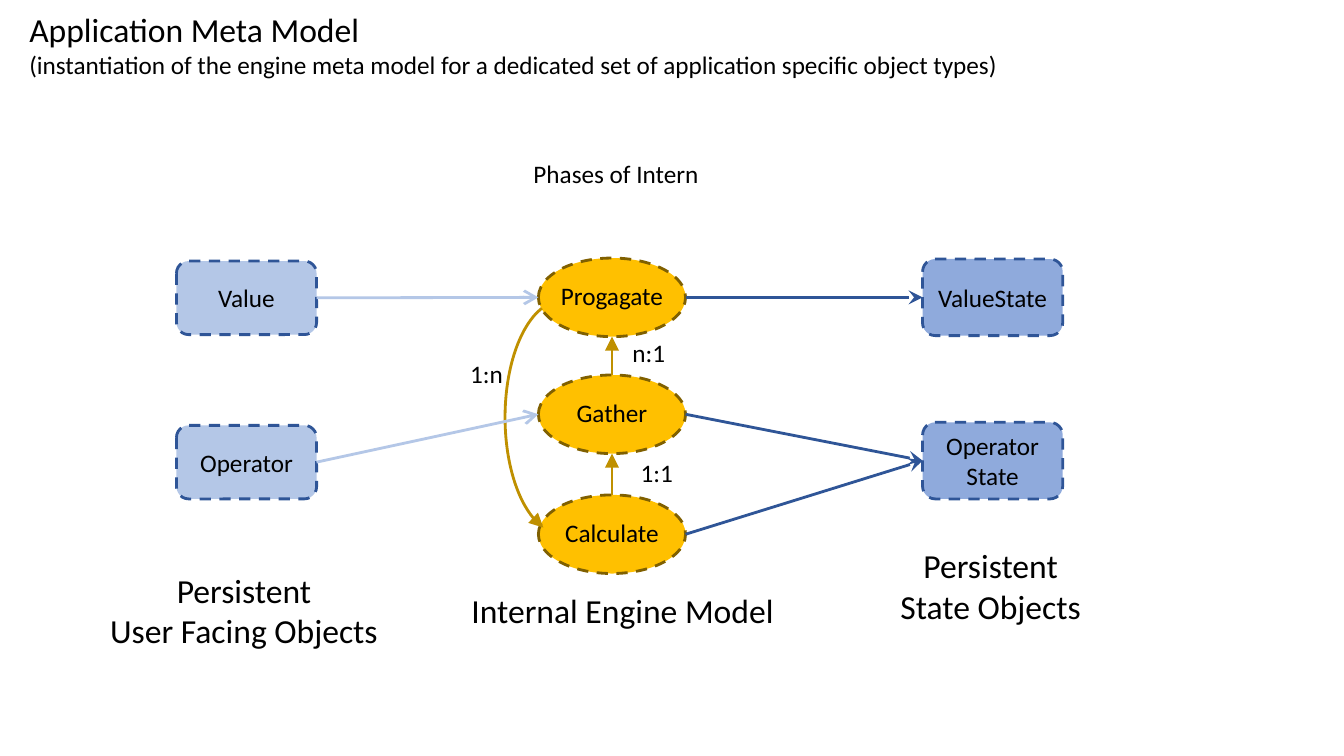
from dataclasses import dataclass

from lxml import etree
from pptx import Presentation
from pptx.dml.color import RGBColor
from pptx.enum.dml import MSO_LINE
from pptx.enum.shapes import MSO_CONNECTOR, MSO_SHAPE
from pptx.enum.text import MSO_ANCHOR, MSO_AUTO_SIZE, PP_ALIGN
from pptx.oxml.ns import qn
from pptx.util import Inches, Pt

ROUNDED, ELLIPSE, ARC = MSO_SHAPE.ROUNDED_RECTANGLE, MSO_SHAPE.OVAL, MSO_SHAPE.ARC
STRAIGHT, DASH = MSO_CONNECTOR.STRAIGHT, MSO_LINE.DASH
LEFT, CENTER = PP_ALIGN.LEFT, PP_ALIGN.CENTER
TOP, MIDDLE = MSO_ANCHOR.TOP, MSO_ANCHOR.MIDDLE
NO_AUTOFIT = MSO_AUTO_SIZE.NONE
SITES = {"left": 1, "right": 3}


@dataclass(frozen=True)
class Theme:
    font: str = "Calibri"
    text: str = "000000"
    user_fill: str = "B4C7E7"
    state_fill: str = "8FAADC"
    box_line: str = "2F5597"
    phase_fill: str = "FFC000"
    phase_line: str = "806000"
    flow: str = "BF9000"
    heading: int = 24
    body: int = 18
    line: int = 2


@dataclass(frozen=True)
class Node:
    name: str
    lines: tuple
    box: tuple
    preset: int
    fill: str
    line: str
    margin_bottom: float = 0.05


@dataclass(frozen=True)
class Label:
    lines: tuple
    box: tuple
    size: int


@dataclass(frozen=True)
class Link:
    start: str
    start_side: str
    end: str
    end_side: str
    color: str
    head: str


T = Theme()


def user(name: str, top: float) -> Node:
    return Node(name, (name,), (1.75, top, 1.39, 0.73), ROUNDED, T.user_fill, T.box_line)


def state(name: str, lines: tuple, top: float) -> Node:
    return Node(name, lines, (9.15, top, 1.39, 0.76), ROUNDED, T.state_fill, T.box_line)


def phase(name: str, top: float) -> Node:
    box = (5.34, top, 1.46, 0.78)
    return Node(name, (name,), box, ELLIPSE, T.phase_fill, T.phase_line, 0.09)


NODES = [
    user("Value", 2.59),
    user("Operator", 4.22),
    phase("Progagate", 2.56),
    phase("Gather", 3.72),
    phase("Calculate", 4.91),
    state("ValueState", ("ValueState",), 2.57),
    state("OperatorState", ("Operator", "State"), 4.19),
]
LINKS = [
    Link("Value", "right", "Progagate", "left", T.user_fill, "arrow"),
    Link("Operator", "right", "Gather", "left", T.user_fill, "arrow"),
    Link("Progagate", "right", "ValueState", "left", T.box_line, "stealth"),
    Link("Gather", "right", "OperatorState", "left", T.box_line, "stealth"),
    Link("Calculate", "right", "OperatorState", "left", T.box_line, "stealth"),
    Link("Calculate", "top", "Gather", "bottom", T.flow, "triangle"),
    Link("Gather", "top", "Progagate", "bottom", T.flow, "triangle"),
]
LABELS = [
    Label(("Phases of Intern",), (5.18, 1.52, 1.86, 0.4), T.body),
    Label(("Persistent", "User Facing Objects"), (0.98, 5.6, 2.88, 0.91), T.heading),
    Label(("Internal Engine Model",), (4.56, 5.8, 3.23, 0.5), T.heading),
    Label(("Persistent", "State Objects"), (8.82, 5.36, 2.01, 0.91), T.heading),
    Label(("n:1",), (6.17, 3.3, 0.53, 0.4), T.body),
    Label(("1:1",), (6.25, 4.49, 0.53, 0.4), T.body),
    Label(("1:n",), (4.56, 3.51, 0.53, 0.4), T.body),
]


def write(tf, lines: tuple, sizes: tuple, align, frame: dict) -> None:
    for key, value in frame.items():
        setattr(tf, key, value)
    for i, (line, size) in enumerate(zip(lines, sizes)):
        p = tf.add_paragraph() if i else tf.paragraphs[0]
        p.alignment = align
        r = p.add_run()
        r.text = line
        for key, value in {"name": T.font, "size": Pt(size)}.items():
            setattr(r.font, key, value)
        r.font.color.rgb = RGBColor.from_string(T.text)


def style_line(line, color: str, head: str = "") -> None:
    line.color.rgb = RGBColor.from_string(color)
    line.width = Pt(T.line)
    if head:
        ln = line._get_or_add_ln()
        etree.SubElement(ln, qn("a:tailEnd"), type=head, w="lg", len="lg")


def add_title(slide) -> None:
    sp = slide.shapes.title
    place = {"left": 0.19, "top": 0.04, "width": 9.93, "height": 1.11}
    for key, value in place.items():
        setattr(sp, key, Inches(value))
    lines = (
        "Application Meta Model",
        "(instantiation of the engine meta model for a dedicated set of"
        " application specific object types)",
    )
    frame = {"auto_size": NO_AUTOFIT, "word_wrap": False, "vertical_anchor": TOP}
    write(sp.text_frame, lines, (T.heading, T.body), LEFT, frame)


def add_node(slide, node: Node):
    sp = slide.shapes.add_shape(node.preset, *map(Inches, node.box))
    sp.shadow.inherit = False
    sp.fill.solid()
    sp.fill.fore_color.rgb = RGBColor.from_string(node.fill)
    style_line(sp.line, node.line)
    sp.line.dash_style = DASH
    frame = {
        "word_wrap": False,
        "vertical_anchor": MIDDLE,
        "margin_bottom": Inches(node.margin_bottom),
    }
    write(sp.text_frame, node.lines, (T.body,) * len(node.lines), CENTER, frame)
    return sp


def add_label(slide, label: Label) -> None:
    sp = slide.shapes.add_textbox(*map(Inches, label.box))
    frame = {"word_wrap": False, "vertical_anchor": TOP}
    write(sp.text_frame, label.lines, (label.size,) * len(label.lines), CENTER, frame)


def side_point(sp, side: str) -> tuple:
    mid_x, mid_y = sp.left + sp.width // 2, sp.top + sp.height // 2
    return {
        "top": (mid_x, sp.top),
        "left": (sp.left, mid_y),
        "bottom": (mid_x, sp.top + sp.height),
        "right": (sp.left + sp.width, mid_y),
    }[side]


def add_link(slide, link: Link, shapes: dict) -> None:
    start, end = shapes[link.start], shapes[link.end]
    cxn = slide.shapes.add_connector(
        STRAIGHT, *side_point(start, link.start_side), *side_point(end, link.end_side))
    if start.auto_shape_type == ROUNDED:
        cxn.begin_connect(start, SITES[link.start_side])
    if end.auto_shape_type == ROUNDED:
        cxn.end_connect(end, SITES[link.end_side])
    style_line(cxn.line, link.color, link.head)
    etree.SubElement(cxn._element.spPr, qn("a:effectLst"))


def add_loop(slide) -> None:
    sp = slide.shapes.add_shape(ARC, *map(Inches, (4.42, 3.57, 2.32, 1.14)))
    sp.adjustments[0], sp.adjustments[1] = 114.44, 210.06
    sp.rotation = 90
    sp._element.spPr.xfrm.set("flipV", "1")
    sp.shadow.inherit = False
    sp.fill.background()
    style_line(sp.line, T.flow, "triangle")


def main() -> None:
    prs = Presentation()
    prs.slide_width, prs.slide_height = Inches(13.33), Inches(7.5)
    slide = prs.slides.add_slide(prs.slide_layouts[5])
    add_title(slide)
    # Nodes, then the loop and the arrows between them
    shapes = {node.name: add_node(slide, node) for node in NODES}
    add_loop(slide)
    for link in LINKS:
        add_link(slide, link, shapes)
    # Captions and cardinalities
    for label in LABELS:
        add_label(slide, label)
    prs.save("out.pptx")


if __name__ == "__main__":
    main()
